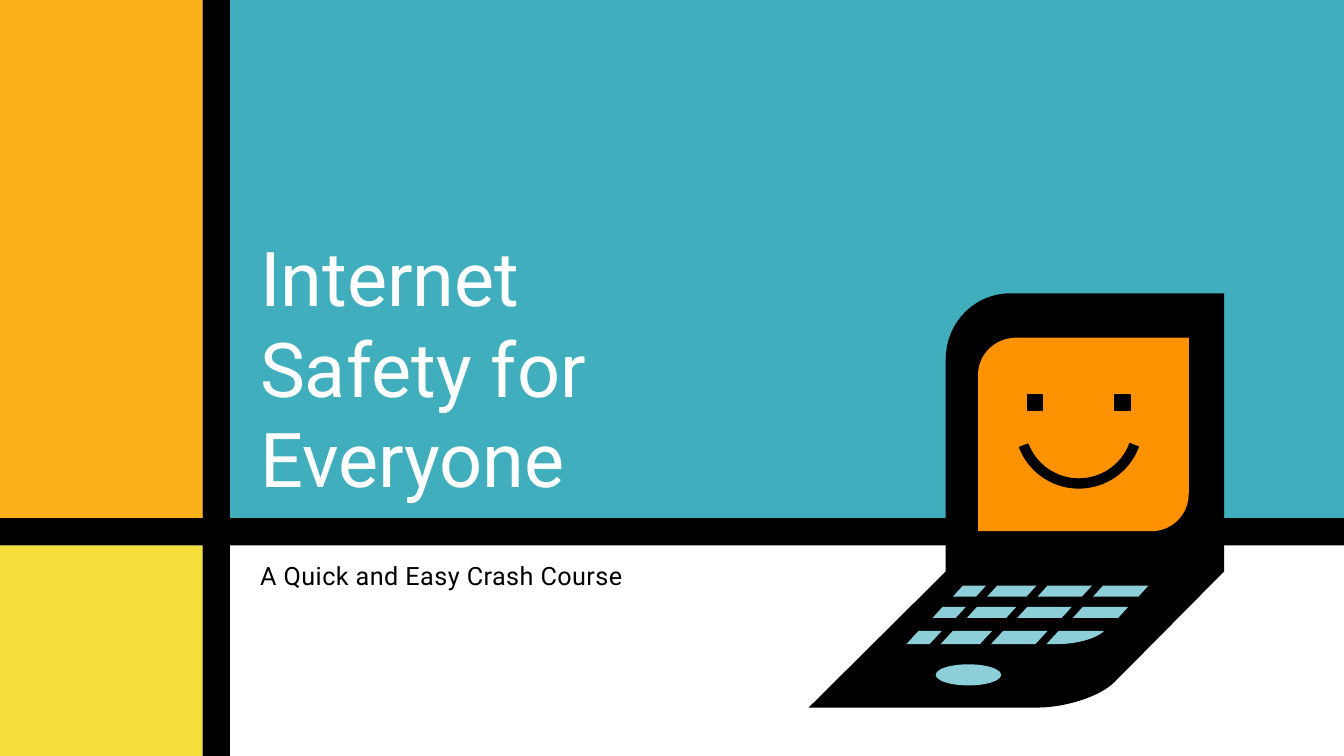
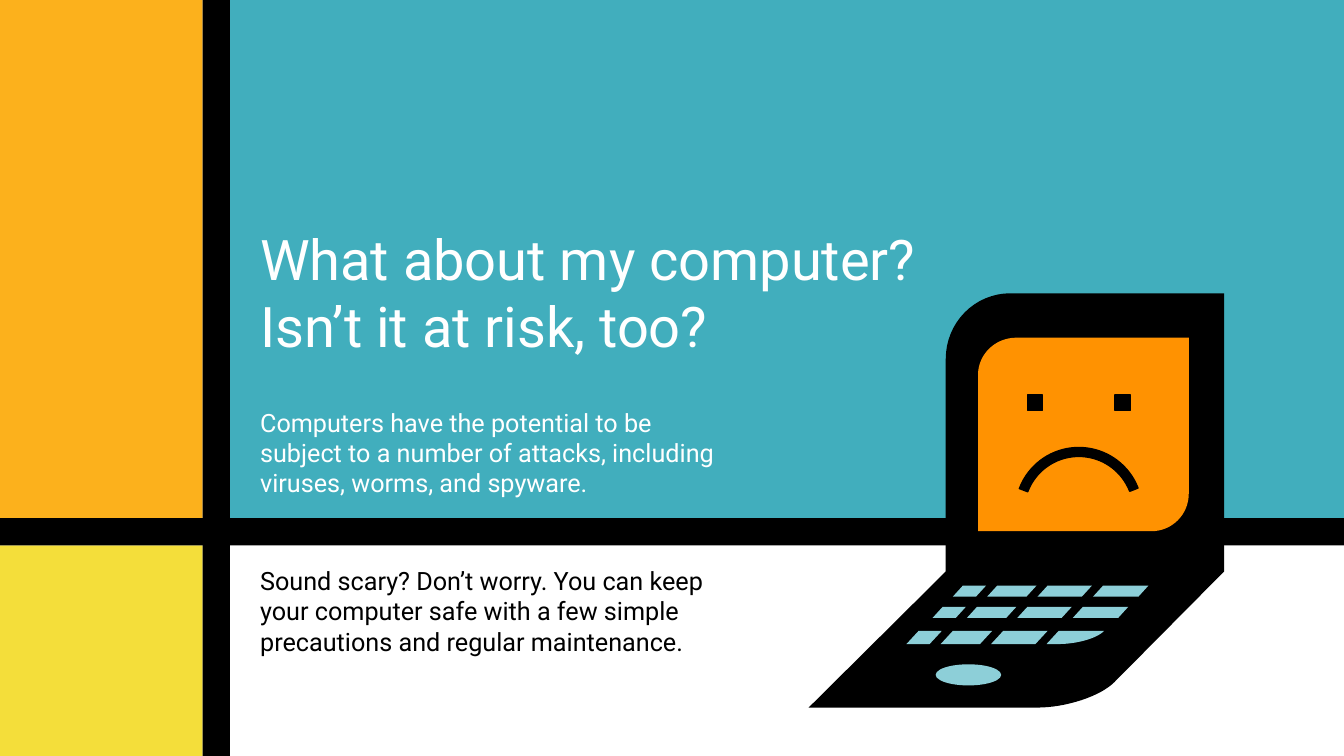
from dataclasses import dataclass
from math import cos, pi, sin
from typing import NamedTuple

from lxml.etree import SubElement
from pptx import Presentation
from pptx.dml.color import RGBColor
from pptx.enum.shapes import MSO_SHAPE as Preset
from pptx.enum.text import MSO_ANCHOR as Anchor, MSO_AUTO_SIZE as AutoSize, PP_ALIGN as Align
from pptx.oxml.ns import qn
from pptx.util import Inches, Pt

# Shared style
FONT = "Roboto"
BLACK, WHITE = "000000", "FFFFFF"
TEAL, AMBER, YELLOW = "41AEBD", "FCB11C", "F4DE3A"
KEY_BLUE, SCREEN_ORANGE = "8DCFD8", "FF9201"

# Page grid: two columns and two rows, parted by black bars
WIDTH, HEIGHT = 13.33, 7.5
BAR = 0.27
LEFT_COLUMN, TOP_ROW = 2.01, 5.14
MAIN_LEFT, LOWER_TOP = LEFT_COLUMN + BAR, TOP_ROW + BAR
MAIN_WIDTH = WIDTH - MAIN_LEFT
TEXT_WIDTH = 5.31
SIDE_INSET = 0.3

Point = tuple[float, float]


class Area(NamedTuple):
    left: float
    top: float
    width: float
    height: float


@dataclass(frozen=True)
class Band:
    area: Area
    color: str


@dataclass(frozen=True)
class KeyRow:
    left: float
    top: float
    height: float
    slant: float


BANDS = [
    Band(Area(MAIN_LEFT, 0, MAIN_WIDTH, TOP_ROW), TEAL),
    Band(Area(0, 0, LEFT_COLUMN, TOP_ROW), AMBER),
    Band(Area(0, LOWER_TOP, LEFT_COLUMN, HEIGHT - LOWER_TOP), YELLOW),
    Band(Area(0, TOP_ROW, WIDTH, BAR), BLACK),
    Band(Area(LEFT_COLUMN, 0, BAR, HEIGHT), BLACK),
]

KEY_ROWS = [
    KeyRow(9.55, 5.81, 0.11, 0.1),
    KeyRow(9.35, 6.02, 0.11, 0.1),
    KeyRow(9.11, 6.26, 0.13, 0.12),
]
KEY_WIDTHS = [0.23, 0.39, 0.44, 0.45]
KEY_GAP = 0.11
EYE_LEFTS = [10.19, 11.06]


def rgb(color: str) -> RGBColor:
    return RGBColor.from_string(color)


def paint(shape, color: str, line: float = 0) -> None:
    """Fill a shape flat, with an outline of the same colour if line is set."""
    shape.shadow.inherit = False
    shape.fill.solid()
    shape.fill.fore_color.rgb = rgb(color)
    if line:
        shape.line.color.rgb = rgb(color)
        shape.line.width = Pt(line)
    else:
        shape.line.fill.background()


def add_preset(shapes, preset, area: Area, color: str, line: float = 0):
    shape = shapes.add_shape(preset, *map(Inches, area))
    paint(shape, color, line)
    return shape


def add_outline(shapes, points: list[Point], color: str) -> None:
    first, *others = [(Inches(x), Inches(y)) for x, y in points]
    builder = shapes.build_freeform(*first)
    builder.add_line_segments(others, close=True)
    paint(builder.convert_to_shape(), color)


def rounded(start: Point, corner: Point, end: Point, steps: int = 16) -> list[Point]:
    """Points of a quarter ellipse that rounds off a corner."""
    points = []
    for step in range(steps + 1):
        angle = step / steps * pi / 2
        to_start, to_end = 1 - sin(angle), 1 - cos(angle)
        points.append(tuple(
            c + (s - c) * to_start + (e - c) * to_end
            for s, c, e in zip(start, corner, end)))
    return points


def write(box, area: Area, *lines: str, size: float, color: str = WHITE,
          anchor=Anchor.TOP, inset: float = 0.15, tracking: float = 0) -> None:
    """Place a placeholder and fill it with one paragraph for each line."""
    box.left, box.top, box.width, box.height = map(Inches, area)
    frame = box.text_frame
    frame.word_wrap = True
    frame.auto_size = AutoSize.NONE
    frame.vertical_anchor = anchor
    frame.margin_left = frame.margin_right = Inches(SIDE_INSET)
    frame.margin_top = frame.margin_bottom = Inches(inset)
    for index, line in enumerate(lines):
        para = frame.add_paragraph() if index else frame.paragraphs[0]
        para.alignment = Align.LEFT
        para.space_before = para.space_after = Pt(0)
        properties = para._p.get_or_add_pPr()
        properties.set("marL", "0")
        properties.set("indent", "0")
        SubElement(properties, qn("a:buNone"))
        span = para.add_run()
        span.text = line
        span.font.name = FONT
        span.font.size = Pt(size)
        span.font.color.rgb = rgb(color)
        if tracking:
            span.font._element.set("spc", str(round(tracking * 100)))


def add_bands_to_master(deck, page) -> None:
    """Draw the bands on a page, then move them behind everything on the master."""
    tree = deck.slide_master.shapes.element
    for index, band in enumerate(BANDS):
        shape = add_preset(page.shapes, Preset.RECTANGLE, band.area, band.color)
        tree.insert(2 + index, shape.element)


def draw_keys(shapes) -> None:
    for row in KEY_ROWS:
        left, bottom = row.left, row.top + row.height
        for width in KEY_WIDTHS:
            right = left + width
            corner = (right - row.slant, bottom)
            # The last key of the lowest row follows the round corner of the case
            if row is KEY_ROWS[-1] and width == KEY_WIDTHS[-1]:
                right_side = rounded((left, bottom), corner, (right, row.top))
            else:
                right_side = [corner, (right, row.top)]
            add_outline(shapes, [(left, row.top), (left - row.slant, bottom), *right_side],
                        KEY_BLUE)
            left = right + KEY_GAP


def draw_laptop(page, happy: bool) -> None:
    shapes = page.shapes.add_group_shape().shapes
    # Case, keys and trackpad
    add_outline(shapes, [
        (12.14, 2.91),
        *rounded((10.02, 2.91), (9.38, 2.91), (9.38, 3.56)),
        (9.38, 5.67), (8.02, 7.02),
        *rounded((10.29, 7.02), (10.8, 7.02), (11.05, 6.77)),
        (12.14, 5.67),
    ], BLACK)
    draw_keys(shapes)
    add_preset(shapes, Preset.OVAL, Area(9.28, 6.59, 0.65, 0.21), KEY_BLUE)
    # Screen
    add_outline(shapes, [
        (11.79, 3.35),
        *rounded((10.08, 3.35), (9.7, 3.35), (9.7, 3.72)),
        (9.7, 5.27),
        *rounded((11.42, 5.27), (11.79, 5.27), (11.79, 4.9)),
    ], SCREEN_ORANGE)
    # Eyes and mouth
    for left in EYE_LEFTS:
        add_preset(shapes, Preset.RECTANGLE, Area(left, 3.92, 0.15, 0.15), BLACK, line=1)
    mouth_top = 3.58 if happy else 4.44
    mouth = add_preset(shapes, Preset.BLOCK_ARC, Area(10.07, mouth_top, 1.26, 1.26),
                       BLACK, line=1)
    for index, value in enumerate([120.41, 203.3, 0.07]):
        mouth.adjustments[index] = value
    mouth.rotation = 180 if happy else 0


def build_cover(deck) -> None:
    page = deck.slides.add_slide(deck.slide_layouts[0])
    add_bands_to_master(deck, page)
    title, subtitle = page.placeholders
    write(title, Area(MAIN_LEFT, 3.02, 5.39, TOP_ROW - 3.02),
          "Internet Safety for Everyone", size=54, anchor=Anchor.BOTTOM)
    write(subtitle, Area(MAIN_LEFT, LOWER_TOP, MAIN_WIDTH, 0.61),
          "A Quick and Easy Crash Course", size=18, color=BLACK, tracking=0.3)
    draw_laptop(page, happy=True)


def build_risk_page(deck) -> None:
    page = deck.slides.add_slide(deck.slide_layouts[3])
    title, threat, advice = page.placeholders
    write(title, Area(MAIN_LEFT, 2.08, MAIN_WIDTH, 1.65),
          "What about my computer?", "Isn’t it at risk, too?", size=40)
    body_height = 1.31
    write(threat, Area(MAIN_LEFT, TOP_ROW - body_height, TEXT_WIDTH, body_height),
          "Computers have the potential to be subject to a number of attacks, "
          "including viruses, worms, and spyware.",
          size=18, anchor=Anchor.BOTTOM, inset=0.2)
    write(advice, Area(MAIN_LEFT, LOWER_TOP, TEXT_WIDTH, body_height),
          "Sound scary? Don’t worry. You can keep your computer safe with a few "
          "simple precautions and regular maintenance.",
          size=18, color=BLACK, inset=0.2)
    draw_laptop(page, happy=False)


def main() -> None:
    deck = Presentation()
    deck.slide_width, deck.slide_height = Inches(WIDTH), Inches(HEIGHT)
    build_cover(deck)
    build_risk_page(deck)
    deck.save("out.pptx")


if __name__ == "__main__":
    main()
